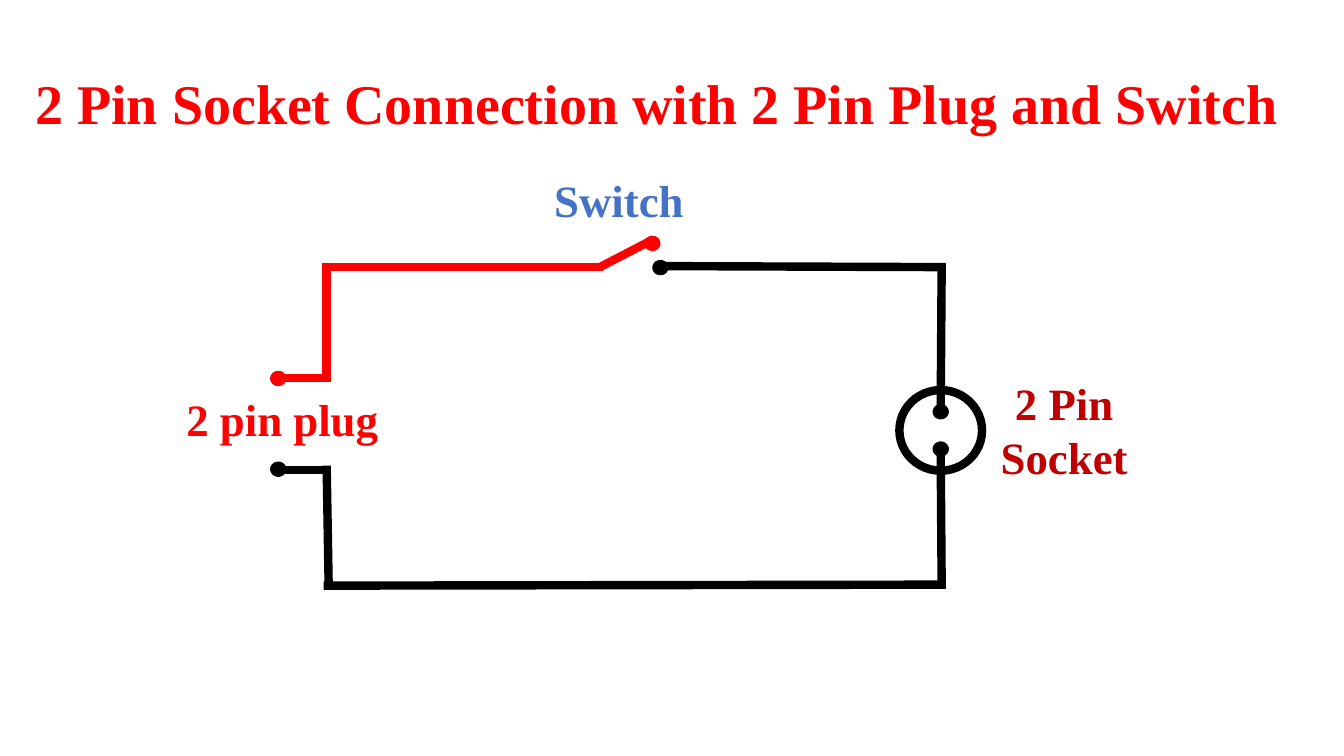
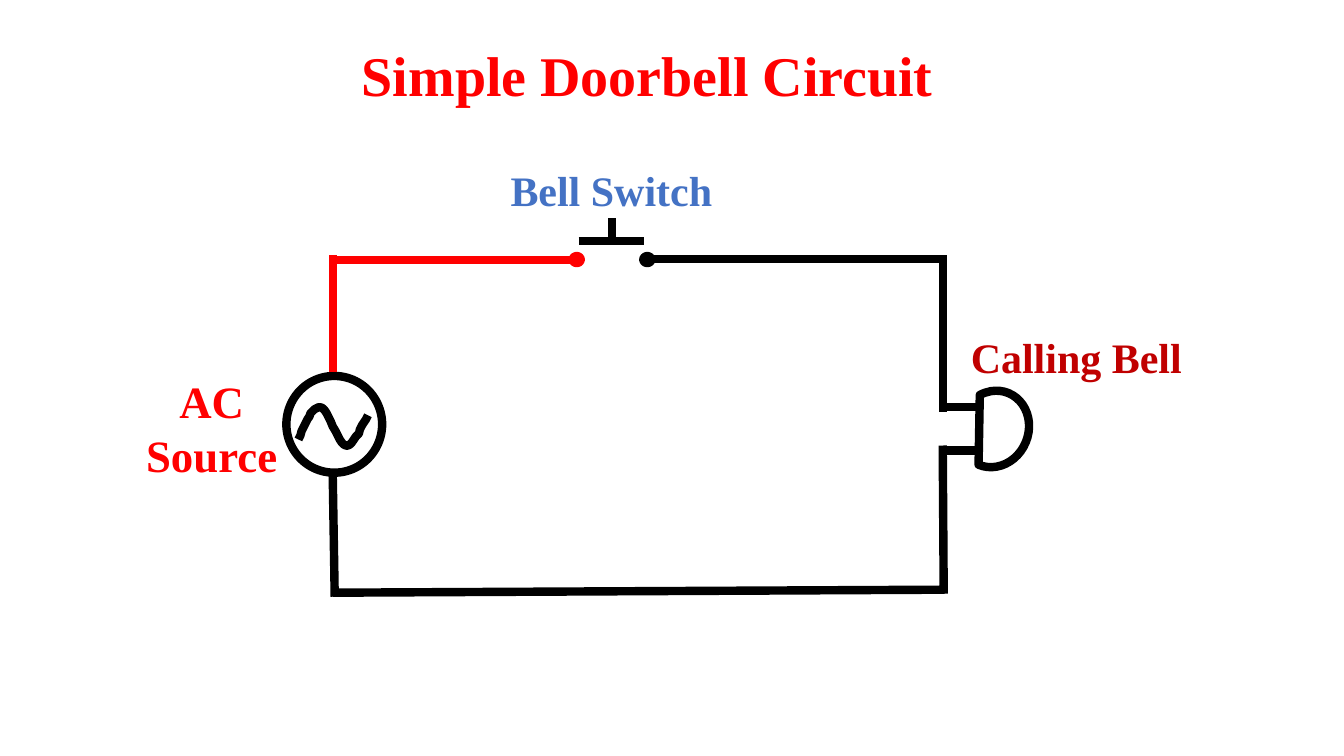
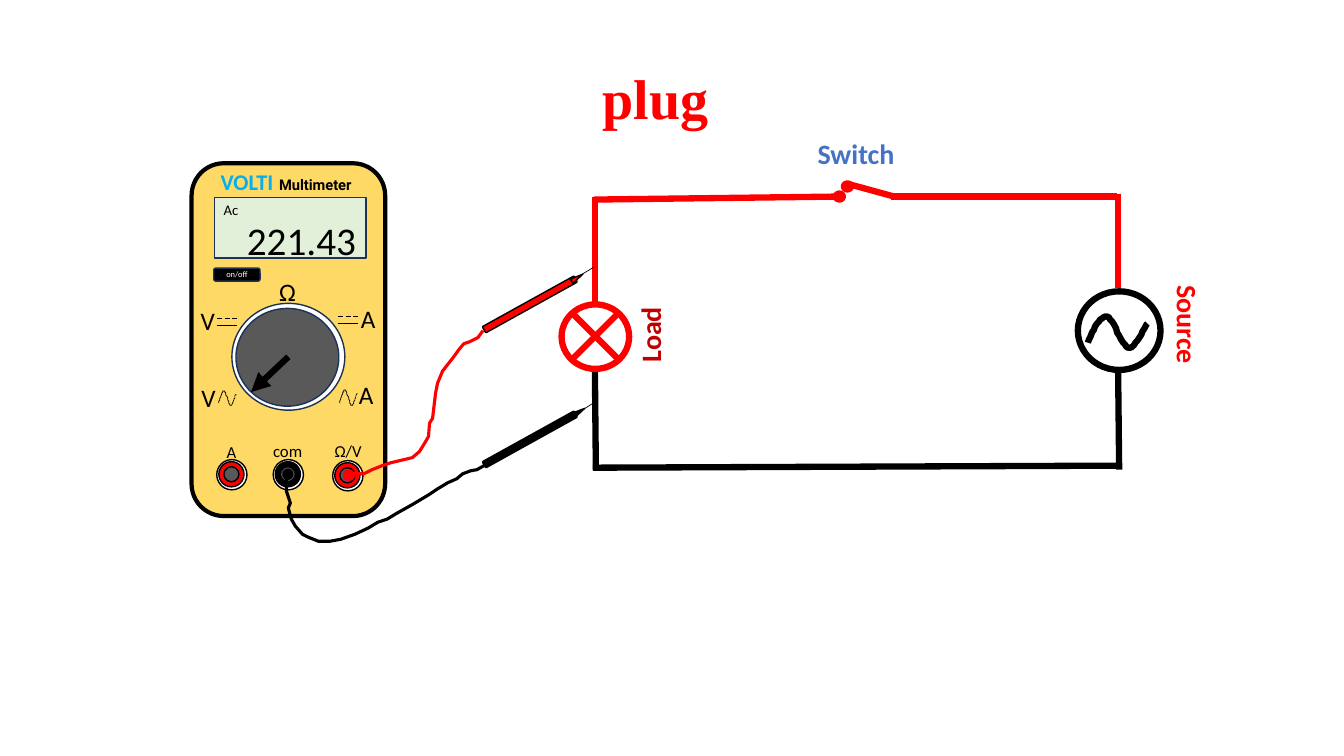
from lxml import etree
from pptx import Presentation
from pptx.dml.color import RGBColor
from pptx.enum import dml, shapes, text
from pptx.oxml.ns import qn
from pptx.util import Emu, Pt

PX = 9144  # 100 px to the inch
RED, BLACK, WHITE = "FF0000", "000000", "FFFFFF"
BLUE, DARK_RED, GRAY, NAVY = "4472C4", "C00000", "595959", "1E3256"
SERIF, SANS = "Times New Roman", "Calibri"
LEFT, CENTER, RIGHT = text.PP_ALIGN.LEFT, text.PP_ALIGN.CENTER, text.PP_ALIGN.RIGHT
PRESET = shapes.MSO_SHAPE
OVAL, ROUNDED = PRESET.OVAL, PRESET.ROUNDED_RECTANGLE

# Text styles: size, font, colour, bold, line spacing
TITLE = (40, SERIF, RED, True, 0.9)
PLUG_TITLE = (40, SERIF, RED, True, 1)
SUPPLY = (32, SERIF, RED, True, 1)
SWITCH = (32, SERIF, BLUE, True, 1)
SOCKET = (32, SERIF, DARK_RED, True, 1)
BELL_SWITCH = (30, SERIF, BLUE, True, 1)
BELL = (30, SERIF, DARK_RED, True, 1)
METER_SWITCH = (20, SANS, BLUE, True, 1)
METER_SOURCE = (20, SANS, RED, True, 1)
METER_LOAD = (20, SANS, DARK_RED, True, 1)
READING = (28, SANS, BLACK, False, 1.5)
DIAL = (18, SANS, BLACK, False, 1)
JACK = (12, SANS, BLACK, False, 1)
MODE = (10.5, SANS, BLACK, False, 1)
POWER = (6, SANS, WHITE, False, 1)
MAKER = (16, SANS, "00B0F0", True, 1)
GAP = (18, SANS, BLACK, False, 1)
MODEL = (10.5, "Roboto", BLACK, True, 1)

# Line looks: colour, width. Shape looks: fill, line colour, line width
LIVE, NEUTRAL = (RED, 6), (BLACK, 6)
LIVE_DOT, NEUTRAL_DOT, RING = (RED, RED, 6), (BLACK, BLACK, 6), (WHITE, BLACK, 6)
THIN_LIVE, THIN_NEUTRAL, HAIR = (RED, 4.5), (BLACK, 4.5), (BLACK, 0.5)
THIN_LIVE_DOT, THIN_NEUTRAL_DOT = (RED, RED, 4.5), (BLACK, BLACK, 4.5)

# One sine period in a unit box: start, then cubic curves
WAVE_START = (0, 0.84)
WAVE_CURVES = [((0.1, 0.39), (0.2, -0.03), (0.32, 0)),
               ((0.43, 0.03), (0.57, 0.97), (0.68, 1)),
               ((0.8, 1.05), (0.94, 0.34), (1, 0.21))]
WAVE_STEPS = 12

# Each part: kind, look, place (left, top, width, height, turn), then alignment and runs
socket_circuit = [
    ("text", None, (22, 71, 1258, 81), CENTER,
     (TITLE, "2 Pin Socket Connection with 2 Pin Plug and Switch")),
    ("wire", LIVE, (324, 261, 324, 377)),
    ("wire", LIVE, (321, 265, 598, 265)),
    ("wire", NEUTRAL, (324, 462, 326, 582)),
    ("wire", NEUTRAL, (321, 581, 938, 580)),
    ("wire", LIVE, (276, 375, 328, 375)),
    ("wire", NEUTRAL, (276, 466, 328, 466)),
    ("text", None, (174, 384, 212, 64), CENTER, (SUPPLY, "2 pin plug")),
    (OVAL, NEUTRAL_DOT, (272, 462, 8, 7)),
    (OVAL, LIVE_DOT, (272, 372, 8, 7)),
    ("wire", LIVE, (595, 265, 647, 238)),
    (OVAL, LIVE_DOT, (643, 238, 8, 7)),
    (OVAL, NEUTRAL_DOT, (651, 262, 8, 7)),
    ("text", None, (536, 166, 156, 64), CENTER, (SWITCH, "Switch")),
    ("wire", NEUTRAL, (655, 264, 938, 265)),
    (OVAL, RING, (892, 387, 82, 80)),
    (OVAL, NEUTRAL_DOT, (929, 405, 8, 7)),
    (OVAL, NEUTRAL_DOT, (929, 442, 8, 7)),
    ("wire", NEUTRAL, (933, 450, 934, 584)),
    ("wire", NEUTRAL, (934, 261, 933, 405)),
    ("text", None, (952, 368, 207, 118), CENTER, (SOCKET, "2 Pin Socket")),
]

doorbell_circuit = [
    ("text", None, (197, 43, 890, 81), CENTER, (TITLE, "Simple Doorbell Circuit")),
    ("wire", NEUTRAL, (574, 239, 639, 239)),
    (OVAL, LIVE_DOT, (568, 254, 8, 7)),
    (OVAL, NEUTRAL_DOT, (638, 254, 8, 7)),
    ("wire", NEUTRAL, (607, 238, 607, 216)),
    ("wire", LIVE, (330, 258, 566, 258)),
    (OVAL, RING, (284, 373, 95, 96)),
    ("wave", NEUTRAL, (296, 404, 69, 38)),
    ("wire", LIVE, (330, 253, 330, 369)),
    ("wire", NEUTRAL, (646, 257, 937, 257)),
    ("wire", NEUTRAL, (330, 471, 332, 592)),
    ("wire", NEUTRAL, (330, 588, 937, 585)),
    ("wire", NEUTRAL, (935, 442, 936, 589)),
    ("wire", NEUTRAL, (935, 253, 935, 409)),
    ("text", None, (128, 366, 164, 118), CENTER, (SUPPLY, "AC\nSource")),
    ("text", None, (485, 158, 243, 61), CENTER, (BELL_SWITCH, "Bell Switch")),
    ("wire", NEUTRAL, (972, 404, 931, 404)),
    (PRESET.CHORD, RING, (951, 387, 69, 77, 202.8)),
    ("wire", NEUTRAL, (973, 447, 931, 447)),
    ("text", None, (953, 324, 252, 61), LEFT, (BELL, "Calling Bell")),
]

meter_body = [
    (ROUNDED, ("FFD966", BLACK, 3), (190, 162, 192, 350)),
    (PRESET.RECTANGLE, ("E2F0D9", NAVY, 1), (213, 196, 150, 60), RIGHT, (READING, "221.43")),
    (OVAL, (WHITE, NAVY, 1), (230, 301, 112, 106)),
    (OVAL, (GRAY, NAVY, 1), (234, 306, 102, 97)),
    ("arrow", THIN_NEUTRAL, (286, 354, 249, 389)),
    ("text", None, (190, 374, 46, 40), LEFT, (DIAL, "V")),
    ("wave", HAIR, (217, 388, 17, 14)),
    ("text", None, (189, 298, 35, 40), LEFT, (DIAL, "V")),
    ("wire", HAIR, (215, 323, 235, 323)),
    ("dashes", HAIR, (215, 316, 235, 316)),
    ("wave", HAIR, (337, 387, 17, 15)),
    ("text", None, (348, 296, 35, 40), LEFT, (DIAL, "A")),
    ("wire", HAIR, (335, 321, 355, 321)),
    ("dashes", HAIR, (335, 314, 355, 314)),
    ("text", None, (346, 371, 35, 40), LEFT, (DIAL, "A")),
    ("text", None, (267, 269, 37, 40), LEFT, (DIAL, "Ω")),
    ("text", None, (322, 432, 48, 30), LEFT, (JACK, "Ω/V")),
    ("text", None, (261, 432, 51, 30), LEFT, (JACK, "com")),
    ("text", None, (215, 433, 27, 30), LEFT, (JACK, "A")),
    (ROUNDED, (BLACK, NAVY, 1), (212, 266, 46, 13), CENTER, (POWER, "on/off")),
    ("text", None, (209, 159, 159, 40), LEFT,
     (MAKER, "VOLTI"), (GAP, " "), (MODEL, "Multimeter")),
    ("text", None, (212, 194, 35, 28), LEFT, (MODE, "Ac")),
]

meter_jacks = [
    (OVAL, (fill, BLACK, 1), (left + inset, top + inset, size, size))
    for left, top, color in ((330, 457, RED), (271, 456, BLACK), (215, 456, RED))
    for inset, size, fill in ((0, 30, WHITE), (2, 25, color), (7, 15, GRAY))
]

load_circuit = [
    ("wire", THIN_LIVE, (589, 198, 832, 195)),
    ("wire", THIN_LIVE, (887, 195, 843, 183)),
    (OVAL, THIN_LIVE_DOT, (837, 182, 7, 6)),
    (OVAL, THIN_LIVE_DOT, (829, 192, 7, 6)),
    ("wire", THIN_LIVE, (884, 195, 1108, 195)),
    ("wire", THIN_NEUTRAL, (588, 464, 1108, 462)),
    ("text", None, (795, 130, 108, 92), CENTER, (METER_SWITCH, "Switch")),
    (OVAL, (WHITE, BLACK, 4.5), (1069, 289, 82, 78)),
    ("wave", THIN_NEUTRAL, (1079, 314, 59, 31)),
    ("wire", THIN_LIVE, (1109, 192, 1109, 286)),
    ("wire", THIN_NEUTRAL, (1109, 369, 1110, 466)),
    ("text", None, (1098, 276, 112, 92, 90), CENTER, (METER_SOURCE, "Source")),
    ("wire", THIN_NEUTRAL, (590, 365, 591, 466)),
    ("wire", THIN_LIVE, (590, 195, 590, 302)),
    (OVAL, (WHITE, RED, 4.5), (557, 302, 67, 64)),
    ("wire", THIN_LIVE, (569, 312, 612, 355)),
    ("wire", THIN_LIVE, (569, 355, 612, 312)),
    ("text", None, (625, 286, 88, 92, 270), CENTER, (METER_LOAD, "Load")),
]

probes = [
    (ROUNDED, (BLACK, BLACK, 1), (522, 384, 7, 104, 61)),
    (ROUNDED, (RED, BLACK, 1), (522, 250, 7, 104, 61)),
    ("wire", HAIR, (571, 411, 593, 397)),
    ("wire", HAIR, (566, 279, 589, 265)),
    (PRESET.ISOSCELES_TRIANGLE, (BLACK, BLACK, 1), (572, 402, 5, 13, 58.1)),
    (PRESET.ISOSCELES_TRIANGLE, (RED, BLACK, 1), (570, 269, 5, 13, 58.1)),
    ("lead", (RED, 2.25), [
        (344, 470), (361, 470), (369, 466), (379, 462), (388, 459), (409, 454),
        (416, 448), (421, 440), (425, 433), (426, 420), (429, 415), (432, 390),
        (434, 380), (439, 368), (450, 354), (455, 347), (460, 341), (466, 339),
        (474, 335), (479, 328)]),
    (OVAL, THIN_LIVE_DOT, (343, 469, 6, 5)),
    ("lead", (BLACK, 2.25), [
        (284, 472), (284, 487), (288, 499), (286, 504), (289, 515), (293, 522),
        (300, 530), (306, 533), (316, 537), (327, 537), (338, 535), (352, 530),
        (365, 524), (375, 518), (384, 515), (394, 509), (410, 500), (425, 491),
        (434, 485), (444, 479), (453, 475), (459, 470), (467, 467), (473, 466),
        (480, 462)]),
    (OVAL, THIN_NEUTRAL_DOT, (283, 468, 5, 5)),
]

plug_title = [("text", None, (281, 58, 738, 77), CENTER, (PLUG_TITLE, "plug"))]


def paint(fill, color):
    fill.solid()
    fill.fore_color.rgb = RGBColor.from_string(color)


def write(frame, align, runs):
    """Add styled runs; a line break in the words starts a new paragraph."""
    frame.word_wrap = True
    paragraph = frame.paragraphs[0]
    for (size, font, color, bold, spacing), words in runs:
        for number, line in enumerate(words.split("\n")):
            if number:
                paragraph = frame.add_paragraph()
            paragraph.alignment = align
            paragraph.line_spacing = spacing
            run = paragraph.add_run()
            run.text = line
            run.font.size, run.font.name, run.font.bold = Pt(size), font, bold
            paint(run.font.fill, color)


deck = Presentation()
deck.slide_width, deck.slide_height = Emu(1333 * PX), Emu(750 * PX)

for parts in (socket_circuit, doorbell_circuit,
              meter_body + meter_jacks + load_circuit + probes + plug_title):
    drawing = deck.slides.add_slide(deck.slide_layouts[6]).shapes
    for kind, look, place, *words in parts:
        if kind in ("wire", "dashes", "arrow"):
            part = drawing.add_connector(shapes.MSO_CONNECTOR.STRAIGHT, *(n * PX for n in place))
            etree.SubElement(part.line._get_or_add_ln().getparent(), qn("a:effectLst"))
        elif kind in ("wave", "lead"):
            points = place
            if kind == "wave":
                left, top, width, height = place
                curve, start = [WAVE_START], WAVE_START
                for first, second, end in WAVE_CURVES:
                    for step in range(1, WAVE_STEPS + 1):
                        t = step / WAVE_STEPS
                        curve.append([
                            a * (1 - t) ** 3 + 3 * b * t * (1 - t) ** 2
                            + 3 * c * t ** 2 * (1 - t) + d * t ** 3
                            for a, b, c, d in zip(start, first, second, end)])
                    start = end
                points = [(left + x * width, top + y * height) for x, y in curve]
            outline = drawing.build_freeform(*points[0], scale=PX)
            outline.add_line_segments(points[1:], close=False)
            part = outline.convert_to_shape()
            part.shadow.inherit = False
            part.fill.background()
        else:
            box = [n * PX for n in place[:4]]
            if kind == "text":
                part = drawing.add_textbox(*box)
            else:
                part = drawing.add_shape(kind, *box)
                part.shadow.inherit = False
                paint(part.fill, look[0])
                part.text_frame.vertical_anchor = text.MSO_ANCHOR.MIDDLE
            part.rotation = sum(place[4:])
            if words:
                write(part.text_frame, words[0], words[1:])
        if look:
            paint(part.line.fill, look[-2])
            part.line.width = Pt(look[-1])
        if kind == "dashes":
            part.line.dash_style = dml.MSO_LINE.LONG_DASH
        if kind == "arrow":
            etree.SubElement(part.line._get_or_add_ln(), qn("a:tailEnd"), type="triangle")

deck.save("out.pptx")
